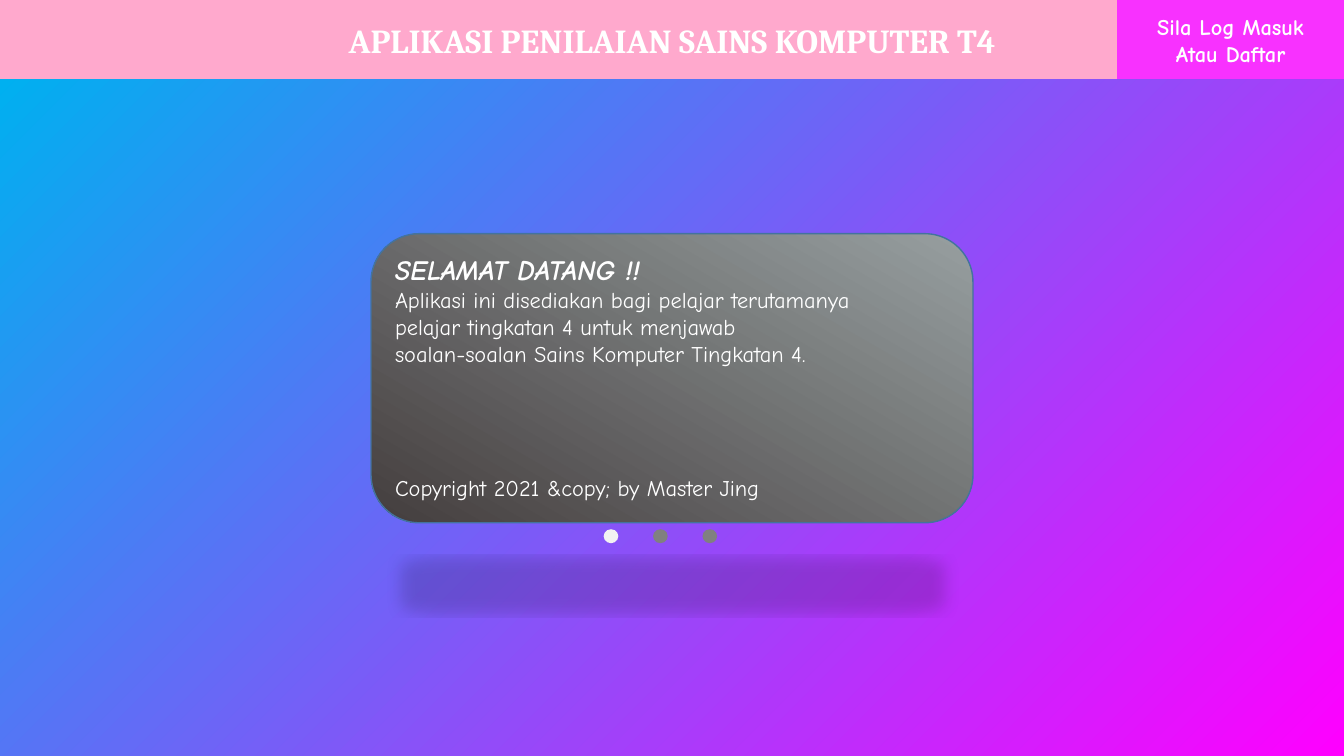
"""Build the welcome slide of a computer science assessment app."""
from lxml.etree import SubElement
from pptx import Presentation
from pptx.dml.color import RGBColor
from pptx.enum.shapes import MSO_SHAPE
from pptx.enum.text import MSO_ANCHOR, PP_ALIGN
from pptx.oxml.ns import qn
from pptx.util import Pt

WIDTH, HEIGHT, HEADER = 960, 540, 56.6
LOGIN_WIDTH = 162
CARD = (265, 166.9, 430, 206.5)
DOT_LEFT, DOT_TOP, DOT_STEP = 431.2, 378, 35.3
DOTS = ["F2F2F2", "808080", "808080"]

TITLE = {"name": "Cambria", "size": Pt(24), "bold": True}
LOGIN = {"name": "Comic Neue", "size": Pt(16), "bold": True}
WELCOME = {"name": "Comic Neue", "size": Pt(20), "bold": True, "italic": True}
BODY = {"name": "Comic Neue", "size": Pt(16), "bold": False}

TITLE_LINES = [("APLIKASI PENILAIAN SAINS KOMPUTER T4", TITLE, 0)]
LOGIN_LINES = [("Sila Log Masuk", LOGIN, 0), ("Atau Daftar", LOGIN, 0)]
CARD_LINES = [
    ("SELAMAT DATANG !!", WELCOME, 0),
    ("Aplikasi ini disediakan bagi pelajar terutamanya", BODY, 0),
    ("pelajar tingkatan 4 untuk menjawab", BODY, 0),
    ("soalan-soalan Sains Komputer Tingkatan 4.", BODY, 0),
    ("Copyright 2021 &copy; by Master Jing", BODY, 76.6),
]


def color(value):
    return RGBColor.from_string(value)


def add_box(page, kind, place, fills, angle=0):
    box = page.shapes.add_shape(kind, *(Pt(length) for length in place))
    box.shadow.inherit = False
    box.line.fill.background()
    if len(fills) == 1:
        box.fill.solid()
        box.fill.fore_color.rgb = color(fills[0])
    else:
        box.fill.gradient()
        box.fill.gradient_angle = 360 - angle
        for stop, value in zip(box.fill.gradient_stops, fills):
            stop.color.rgb = color(value)
    return box


def write(box, lines, align, anchor):
    frame = box.text_frame
    frame.word_wrap = True
    frame.vertical_anchor = anchor
    for index, (text, style, gap) in enumerate(lines):
        para = frame.paragraphs[0] if index == 0 else frame.add_paragraph()
        para.alignment = align
        para.space_before = Pt(gap)
        span = para.add_run()
        span.text = text
        span.font.color.rgb = color("FFFFFF")
        for name, value in style.items():
            setattr(span.font, name, value)


def add_floor_shadow(box):
    effects = box._element.spPr.find(qn("a:effectLst"))
    shadow = SubElement(effects, qn("a:outerShdw"), blurRad=str(Pt(12)), dist=str(Pt(25)),
                        dir="5400000", sx="90000", sy="-19000", rotWithShape="0")
    black = SubElement(shadow, qn("a:srgbClr"), val="000000")
    SubElement(black, qn("a:alpha"), val="15000")


deck = Presentation()
deck.slide_width, deck.slide_height = Pt(WIDTH), Pt(HEIGHT)
page = deck.slides.add_slide(deck.slide_layouts[6])

header = add_box(page, MSO_SHAPE.RECTANGLE, (0, 0, WIDTH, HEADER), ["FFA9CD"])
write(header, TITLE_LINES, PP_ALIGN.CENTER, MSO_ANCHOR.MIDDLE)
login = add_box(page, MSO_SHAPE.RECTANGLE,
                (WIDTH - LOGIN_WIDTH, 0, LOGIN_WIDTH, HEADER), ["F831FF"])
write(login, LOGIN_LINES, PP_ALIGN.CENTER, MSO_ANCHOR.MIDDLE)
add_box(page, MSO_SHAPE.RECTANGLE, (0, HEADER, WIDTH, HEIGHT - HEADER),
        ["FF00FF", "00B0F0"], 225)

card = add_box(page, MSO_SHAPE.ROUNDED_RECTANGLE, CARD, ["979FA0", "443E3E"], 120)
card.line.color.rgb = color("43739E")
card.line.width = Pt(1)
add_floor_shadow(card)
write(card, CARD_LINES, PP_ALIGN.LEFT, MSO_ANCHOR.TOP)

for index, shade in enumerate(DOTS):
    add_box(page, MSO_SHAPE.FLOWCHART_CONNECTOR,
            (DOT_LEFT + index * DOT_STEP, DOT_TOP, 10.5, 10), [shade])

deck.save("out.pptx")
